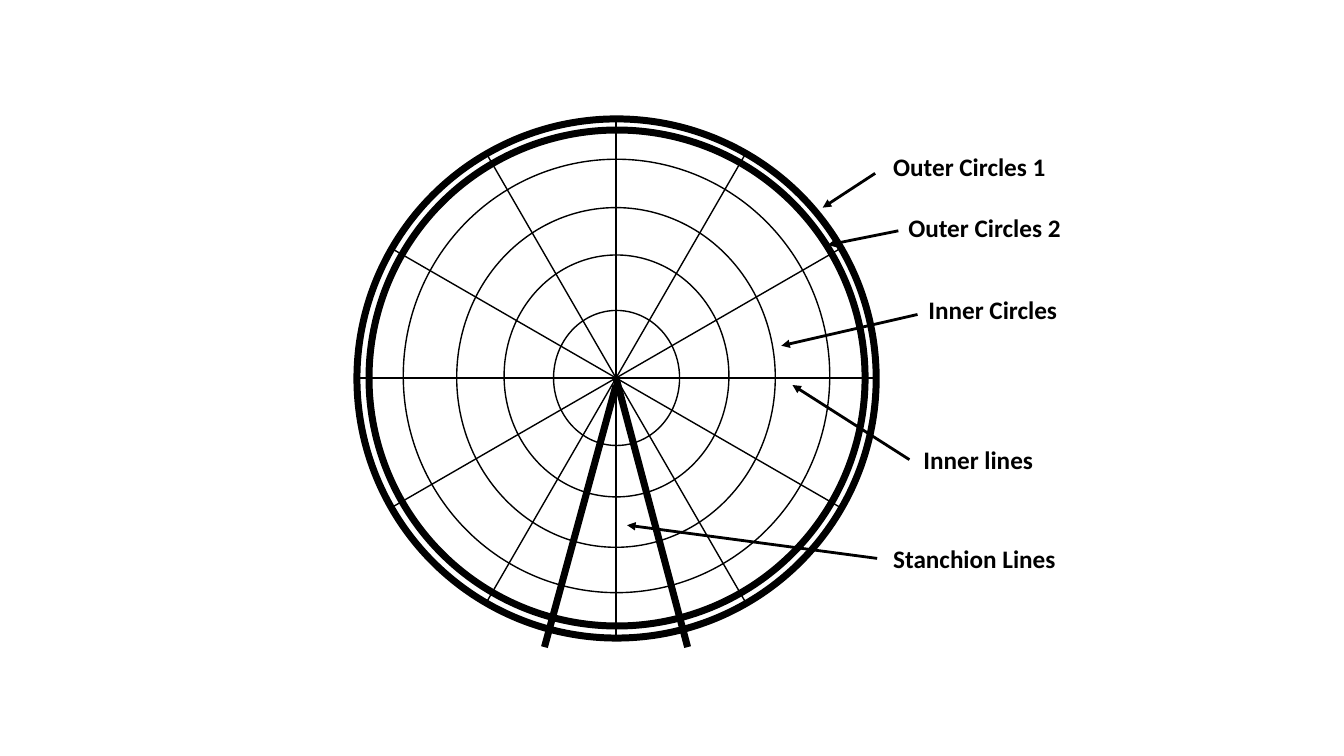
from math import cos, radians, sin

from lxml.etree import SubElement
from pptx import Presentation
from pptx.dml.color import RGBColor
from pptx.enum.shapes import MSO_CONNECTOR as Link, MSO_SHAPE as Shape
from pptx.enum.text import MSO_AUTO_SIZE as Fit
from pptx.oxml.ns import qn
from pptx.util import Inches, Pt

BLACK = RGBColor(0, 0, 0)
THIN, ARROW, THICK = 1, 2, 5
HUB = (6.11, 3.75)
REACH = 2.57
SPOKES = 6
OUTER = (3.54, 1.18, 5.15, 5.15, THICK)
INNER = [
    (4, 1.58, 4.23, 4.3, THIN),
    (4.53, 2.06, 3.16, 3.37, THIN),
    (5, 2.53, 2.23, 2.4, THIN),
    (5.49, 3.08, 1.25, 1.34, THIN),
    (3.66, 1.29, 4.92, 4.92, THICK),
]
STANCHIONS = [((6.11, 3.82), (5.4, 6.42)), (HUB, (6.82, 6.42))]
LABELS = [
    ("Outer Circles 1", (8.76, 1.45), (8.68, 1.72), (8.16, 2.06)),
    ("Outer Circles 2", (8.91, 2.06), (8.91, 2.29), (8.21, 2.43)),
    ("Inner Circles", (9.11, 2.87), (9.1, 3.12), (7.75, 3.43)),
    ("Inner lines", (9.06, 4.36), (9.02, 4.56), (7.86, 3.82)),
    ("Stanchion Lines", (8.76, 5.34), (8.7, 5.54), (6.22, 5.21)),
]
LABEL_SIZE = (2.21, 0.4)
FONT = {"name": "Calibri", "size": Pt(18), "bold": True}

deck = Presentation()
deck.slide_width, deck.slide_height = Inches(13.33), Inches(7.5)
slide = deck.slides.add_slide(deck.slide_layouts[6])
shapes = slide.shapes


def ring(left, top, width, height, weight):
    oval = shapes.add_shape(Shape.OVAL, *map(Inches, (left, top, width, height)))
    oval.shadow.inherit = False
    oval.fill.background()
    oval.line.color.rgb = BLACK
    oval.line.width = Pt(weight)


def stroke(start, end, weight, arrow=False):
    line = shapes.add_connector(Link.STRAIGHT, *map(Inches, start + end))
    line.line.color.rgb = BLACK
    line.line.width = Pt(weight)
    if arrow:
        SubElement(line.line._get_or_add_ln(), qn("a:tailEnd"), type="triangle")
    SubElement(line._element.spPr, qn("a:effectLst"))


def label(text, place):
    box = shapes.add_textbox(*map(Inches, place + LABEL_SIZE))
    frame = box.text_frame
    frame.word_wrap = True
    frame.auto_size = Fit.SHAPE_TO_FIT_TEXT
    run = frame.paragraphs[0].add_run()
    run.text = text
    for key, value in FONT.items():
        setattr(run.font, key, value)
    run.font.color.rgb = BLACK


ring(*OUTER)
for step in range(SPOKES):
    angle = radians(step * 180 / SPOKES)
    dx, dy = REACH * cos(angle), REACH * sin(angle)
    stroke((HUB[0] - dx, HUB[1] - dy), (HUB[0] + dx, HUB[1] + dy), THIN)
for circle in INNER:
    ring(*circle)
for start, end in STANCHIONS:
    stroke(start, end, THICK)
for text, place, start, end in LABELS:
    stroke(start, end, ARROW, arrow=True)
    label(text, place)

deck.save("out.pptx")
